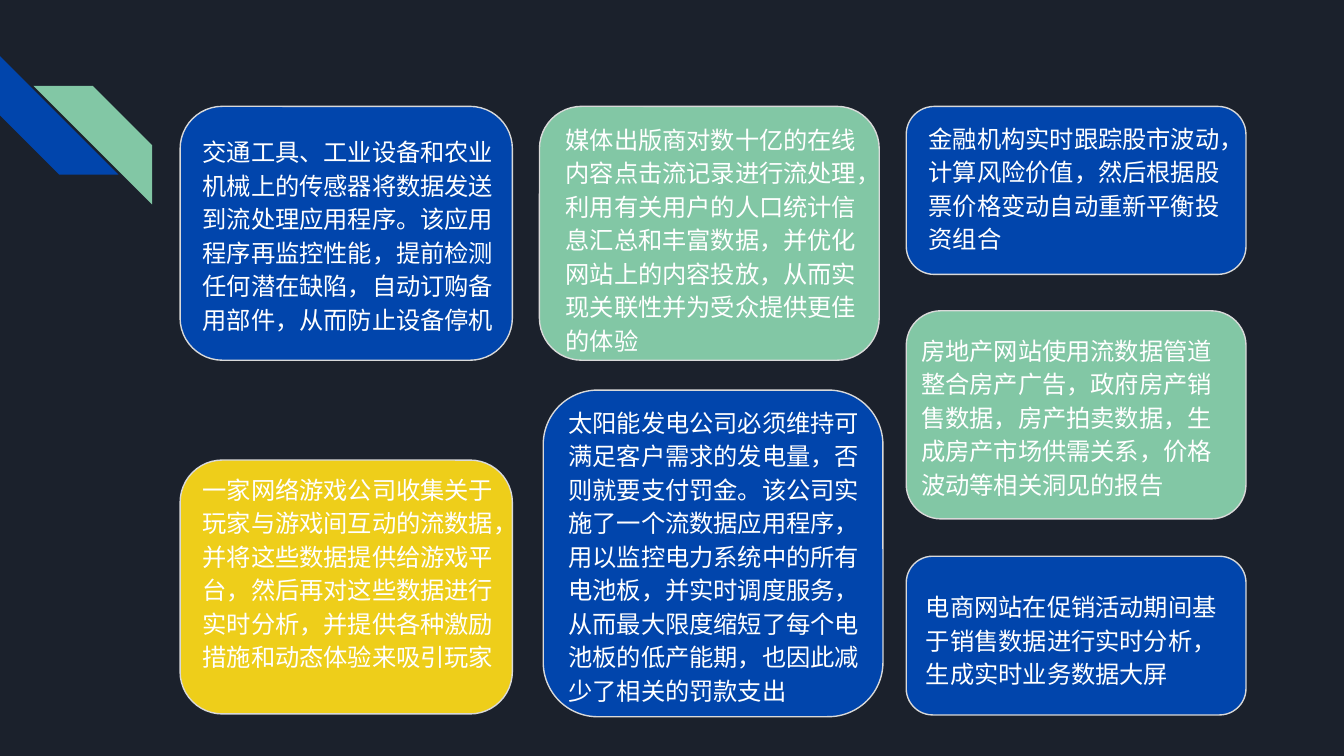
"""Build a slide of seven stream-processing use cases on coloured cards."""
import pptx
import pptx.dml.color
import pptx.enum.shapes
import pptx.enum.text
import pptx.util

Pt = pptx.util.Pt
Kind = pptx.enum.shapes.MSO_SHAPE

THEME = {
    "back": "1B212C", "blue": "0145AC", "green": "82C7A5", "gold": "EECE1A",
    "edge": "D9D9D9", "text": "FFFFFF", "font": "Lato", "size": 13,
}
STRIPES = [
    {"left": 0, "top": 30, "fill": "blue", "turn": 270, "flip": False},
    {"left": 18, "top": 46, "fill": "green", "turn": 0, "flip": True},
]
SIDE = 63.5
INSET = 7.2
CARDS = [
    {"fill": "blue", "card": (96.5, 57, 178, 136), "note": (101.5, 64, 173.5, 121),
     "text": "交通工具、工业设备和农业机械上的传感器将数据发送到流处理应用程序。该应用程序再监控性能，提前检测任何潜在缺陷，自动订购备用部件，从而防止设备停机"},
    {"fill": "gold", "card": (96.5, 246.5, 178, 136), "note": (101.5, 245, 171.5, 139),
     "text": "一家网络游戏公司收集关于玩家与游戏间互动的流数据，并将这些数据提供给游戏平台，然后再对这些数据进行实时分析，并提供各种激励措施和动态体验来吸引玩家"},
    {"fill": "green", "card": (289, 57, 182, 136), "note": (296, 57.5, 171.5, 139),
     "text": "媒体出版商对数十亿的在线内容点击流记录进行流处理，利用有关用户的人口统计信息汇总和丰富数据，并优化网站上的内容投放，从而实现关联性并为受众提供更佳的体验"},
    {"fill": "blue", "card": (291, 209, 182, 175), "note": (297.5, 209, 171.5, 175),
     "text": "太阳能发电公司必须维持可满足客户需求的发电量，否则就要支付罚金。该公司实施了一个流数据应用程序，用以监控电力系统中的所有电池板，并实时调度服务，从而最大限度缩短了每个电池板的低产能期，也因此减少了相关的罚款支出"},
    {"fill": "blue", "card": (485.5, 57, 182, 90), "note": (490.5, 57, 171.5, 85),
     "text": "金融机构实时跟踪股市波动，计算风险价值，然后根据股票价格变动自动重新平衡投资组合"},
    {"fill": "green", "card": (485.5, 166.5, 182, 111.5), "note": (486.5, 170.5, 171.5, 103),
     "text": "房地产网站使用流数据管道整合房产广告，政府房产销售数据，房产拍卖数据，生成房产市场供需关系，价格波动等相关洞见的报告"},
    {"fill": "blue", "card": (485.5, 298, 182, 85), "note": (489, 308, 171.5, 66),
     "text": "电商网站在促销活动期间基于销售数据进行实时分析，生成实时业务数据大屏"},
]


def tint(name):
    """Return a theme colour."""
    return pptx.dml.color.RGBColor.from_string(THEME[name])


def add_shape(slide, kind, box, fill):
    """Add a filled shape without shadow or line."""
    shape = slide.shapes.add_shape(kind, *map(Pt, box))
    shape.shadow.inherit = False
    shape.fill.solid()
    shape.fill.fore_color.rgb = tint(fill)
    shape.line.fill.background()
    return shape


def add_stripe(slide, item):
    """Add one corner stripe."""
    box = (item["left"], item["top"], SIDE, SIDE)
    stripe = add_shape(slide, Kind.DIAGONAL_STRIPE, box, item["fill"])
    stripe.rotation = item["turn"]
    if item["flip"]:
        stripe.element.spPr.xfrm.set("flipH", "1")


def add_card(slide, item):
    """Add one outlined rounded card."""
    card = add_shape(slide, Kind.ROUNDED_RECTANGLE, item["card"], item["fill"])
    card.line.color.rgb = tint("edge")
    card.line.width = Pt(0.75)


def add_note(slide, item):
    """Add the text that lies on a card."""
    frame = slide.shapes.add_textbox(*map(Pt, item["note"])).text_frame
    frame.word_wrap = True
    frame.auto_size = pptx.enum.text.MSO_AUTO_SIZE.SHAPE_TO_FIT_TEXT
    frame.margin_left = frame.margin_right = Pt(INSET)
    frame.margin_top = frame.margin_bottom = Pt(INSET)
    frame.text = item["text"]
    para = frame.paragraphs[0]
    para.line_spacing = 1.15
    para.space_after = Pt(12)
    font = para.runs[0].font
    font.name = THEME["font"]
    font.size = Pt(THEME["size"])
    font.color.rgb = tint("text")


def main():
    """Build and save the slide."""
    deck = pptx.Presentation()
    deck.slide_width, deck.slide_height = Pt(720), Pt(405)
    slide = deck.slides.add_slide(deck.slide_layouts.get_by_name("Blank"))
    slide.background.fill.solid()
    slide.background.fill.fore_color.rgb = tint("back")
    for item in STRIPES:
        add_stripe(slide, item)
    for item in CARDS:
        add_card(slide, item)
        add_note(slide, item)
    deck.save("out.pptx")


if __name__ == "__main__":
    main()
